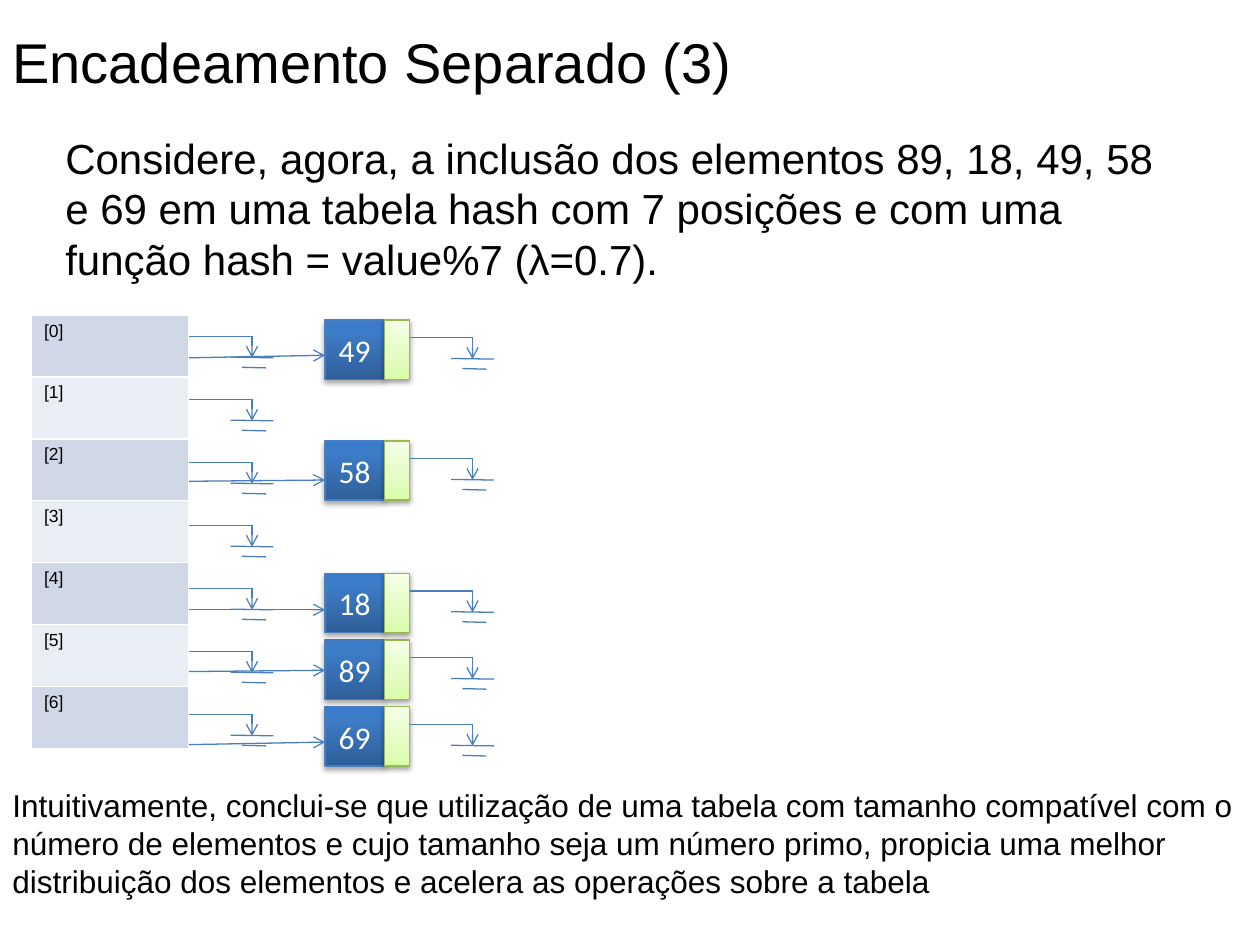
from dataclasses import dataclass

from lxml import etree
from pptx import Presentation
from pptx import util as u
from pptx.dml.color import RGBColor
from pptx.enum import shapes, text
from pptx.oxml import ns


@dataclass(frozen=True)
class Theme:
    body_font: str = "Arial"
    node_font: str = "Calibri"
    title_size: int = 32
    intro_size: int = 24
    note_size: int = 18
    node_size: int = 18
    cell_size: int = 10
    ink: str = "000000"
    white: str = "FFFFFF"
    line: str = "4B7EBC"
    link_line: str = "98B955"
    line_width: float = 0.75
    bands: tuple = ("D0D8E8", "E9EDF4")
    value_stops: tuple = ((0, "2F5F99"), (80, "3D7CC7"), (100, "3A7CCB"))
    link_stops: tuple = ((0, "DAFDA7"), (35, "E4FCC2"), (100, "F5FFE7"))


@dataclass(frozen=True)
class Node:
    value: int
    top: float
    arrow_from: float
    arrow_to: float


T = Theme()
SLOTS, ROW_H = 7, 3.44 / 7
TABLE_X, TABLE_Y, TABLE_W = 0.25, 2.5, 1.25
SLOT_X = TABLE_X + TABLE_W
NODE_X, NODE_SIZE, LINK_W = 2.58, 0.47, 0.2
NODES = (
    Node(89, 5.08, 5.33, 5.32),
    Node(18, 4.55, 4.84, 4.84),
    Node(49, 2.54, 2.84, 2.82),
    Node(58, 3.5, 3.82, 3.81),
    Node(69, 5.61, 5.91, 5.89),
)


def sub(parent, tag: str, **attrs):
    return etree.SubElement(parent, ns.qn(tag), {k: str(v) for k, v in attrs.items()})


def write(tf, content: str, *, size: float, font: str = T.body_font,
          color: str = T.ink, align=None) -> None:
    p = tf.paragraphs[0]
    p.alignment = align
    r = p.add_run()
    r.text = content
    r.font.size, r.font.name = u.Pt(size), font
    r.font.color.rgb = RGBColor.from_string(color)


def add_text(s, content: str, x: float, y: float, w: float, h: float, *,
             size: float, wrap: bool = True) -> None:
    tf = s.shapes.add_textbox(*map(u.Inches, (x, y, w, h))).text_frame
    tf.word_wrap = wrap
    tf.auto_size = text.MSO_AUTO_SIZE.SHAPE_TO_FIT_TEXT
    write(tf, content, size=size)


def add_line(parent, x1: float, y1: float, x2: float, y2: float,
             arrow: bool = False) -> None:
    c = parent.shapes.add_connector(
        shapes.MSO_CONNECTOR.STRAIGHT, *map(u.Inches, (x1, y1, x2, y2)))
    c.line.color.rgb = RGBColor.from_string(T.line)
    c.line.width = u.Pt(T.line_width)
    sp_pr = c.element.spPr
    if arrow:
        sub(sp_pr.find(ns.qn("a:ln")), "a:tailEnd", type="arrow")
    sub(sp_pr, "a:effectLst")


def add_null(s, x: float, y: float) -> None:
    """Null pointer: an elbow ending on a ground symbol."""
    g = s.shapes.add_group_shape()
    add_line(g, x, y, x + 0.5, y)
    add_line(g, x + 0.5, y, x + 0.5, y + 0.17, arrow=True)
    add_line(g, x + 0.33, y + 0.165, x + 0.67, y + 0.17)
    add_line(g, x + 0.42, y + 0.245, x + 0.61, y + 0.25)


def add_box(parent, x: float, y: float, w: float, stops: tuple, line: str,
            alpha: int, distance: float):
    sp = parent.shapes.add_shape(
        shapes.MSO_SHAPE.RECTANGLE, *map(u.Inches, (x, y, w, NODE_SIZE)))
    sp.fill.gradient()
    sp.fill.gradient_angle = 90
    sp.line.color.rgb = RGBColor.from_string(line)
    sp.line.width = u.Pt(T.line_width)
    sp.shadow.inherit = False
    sp_pr = sp.element.spPr
    # Gradient stops
    gs_lst = sp_pr.find(".//" + ns.qn("a:gsLst"))
    for gs in list(gs_lst):
        gs_lst.remove(gs)
    for pos, color in stops:
        sub(sub(gs_lst, "a:gs", pos=pos * 1000), "a:srgbClr", val=color)
    # Soft shadow below the box
    shadow = sub(sp_pr.find(ns.qn("a:effectLst")), "a:outerShdw",
                 blurRad=u.Pt(3.1), dist=u.Pt(distance), dir=90 * 60000,
                 rotWithShape=0)
    sub(sub(shadow, "a:srgbClr", val=T.ink), "a:alpha", val=alpha * 1000)
    return sp


def add_node(s, node: Node) -> None:
    g = s.shapes.add_group_shape()
    sp = add_box(g, NODE_X, node.top, NODE_SIZE, T.value_stops, T.line, 35, 1.8)
    sp.text_frame.vertical_anchor = text.MSO_ANCHOR.MIDDLE
    write(sp.text_frame, str(node.value), size=T.node_size, font=T.node_font,
          color=T.white, align=text.PP_ALIGN.CENTER)
    link_x = NODE_X + NODE_SIZE
    add_box(g, link_x, node.top, LINK_W, T.link_stops, T.link_line, 38, 1.6)
    add_null(s, link_x + LINK_W, node.top + 0.14)


def add_slots(s) -> None:
    tbl = s.shapes.add_table(SLOTS, 1, *map(
        u.Inches, (TABLE_X, TABLE_Y, TABLE_W, SLOTS * ROW_H))).table
    tbl.first_row = tbl.horz_banding = False
    for i in range(SLOTS):
        tbl.rows[i].height = u.Inches(ROW_H)
        cell = tbl.cell(i, 0)
        write(cell.text_frame, f"[{i}]", size=T.cell_size)
        cell.fill.solid()
        cell.fill.fore_color.rgb = RGBColor.from_string(T.bands[i % 2])
        # White borders go before the fill
        tc_pr = cell._tc.get_or_add_tcPr()
        for n, side in enumerate("LRTB"):
            ln = sub(tc_pr, f"a:ln{side}", w=u.Pt(1))
            sub(sub(ln, "a:solidFill"), "a:srgbClr", val=T.white)
            tc_pr.insert(n, ln)


prs = Presentation()
prs.slide_width, prs.slide_height = u.Inches(10), u.Inches(7.5)
s = prs.slides.add_slide(prs.slide_layouts[6])

# Title and introduction
add_text(s, "Encadeamento Separado (3)", 0, 0.17, 5.95, 0.64,
         size=T.title_size, wrap=False)
add_text(s, "Considere, agora, a inclusão dos elementos 89, 18, 49, 58 e 69 em "
            "uma tabela hash com 7 posições e com uma função hash = value%7 "
            "(λ=0.7). ", 0.42, 1, 9, 1.31, size=T.intro_size)

# Hash table with its null pointers
add_slots(s)
for i in range(SLOTS):
    add_null(s, SLOT_X, 2.67 + 0.5 * i)

# Chained nodes, then the arrows that reach them
for node in NODES:
    add_node(s, node)
for node in NODES:
    add_line(s, SLOT_X, node.arrow_from, NODE_X, node.arrow_to, arrow=True)

# Conclusion
add_text(s, "Intuitivamente, conclui-se que utilização de uma tabela com tamanho "
            "compatível com o número de elementos e cujo tamanho seja um número "
            "primo, propicia uma melhor distribuição dos elementos e acelera as "
            "operações sobre a tabela", 0, 6.19, 10, 1.01, size=T.note_size)

prs.save("out.pptx")
